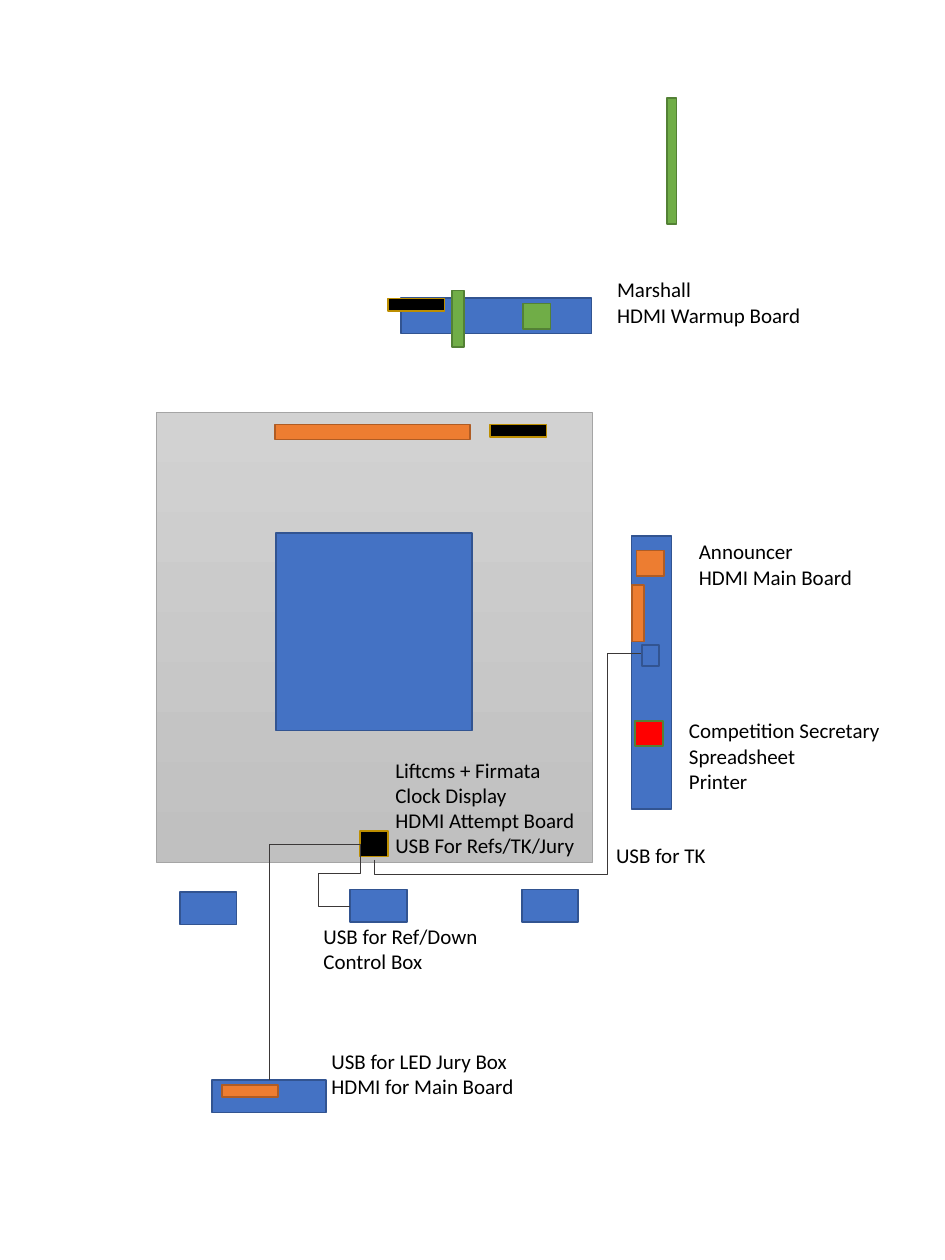
"""Build the floor plan of a lifting meet with its screens and cables."""
from lxml import etree
from pptx import Presentation
from pptx.dml.color import RGBColor
from pptx.enum.shapes import MSO_CONNECTOR, MSO_SHAPE
from pptx.enum.text import MSO_AUTO_SIZE
from pptx.oxml.ns import qn
from pptx.util import Cm, Pt

RECT = MSO_SHAPE.RECTANGLE
ELBOW = MSO_CONNECTOR.ELBOW
FIT = MSO_AUTO_SIZE.SHAPE_TO_FIT_TEXT

INK = RGBColor(0x00, 0x00, 0x00)
WIRE = RGBColor(0x3B, 0x38, 0x38)
PALE = RGBColor(0xD2, 0xD2, 0xD2)
GREY = RGBColor(0xC0, 0xC0, 0xC0)
EDGE = RGBColor(0xA5, 0xA5, 0xA5)
LEAF = RGBColor(0x53, 0x81, 0x35)
BLUE = (RGBColor(0x44, 0x72, 0xC4), RGBColor(0x32, 0x54, 0x91))
ORANGE = (RGBColor(0xED, 0x7D, 0x31), RGBColor(0xAF, 0x5C, 0x24))
GREEN = (RGBColor(0x70, 0xAD, 0x47), LEAF)
BLACK = (INK, RGBColor(0xBD, 0x8E, 0x00))
RED = (RGBColor(0xFF, 0x00, 0x00), LEAF)

SEAT = (1.14, 0.66)
LAPTOP = (0.56, 0.51)
SCREEN = (1.14, 0.25)


class Plan:
    """Hold the style and the current slide."""

    font = {"name": "Calibri", "size": Pt(12)}
    frame = {"word_wrap": False, "auto_size": FIT}

    def __init__(self, slide):
        self.shapes = slide.shapes

    def box(self, x, y, size, tone, turn=0):
        """Add a filled rectangle."""
        shape = self.shapes.add_shape(RECT, Cm(x), Cm(y), *map(Cm, size))
        shape.rotation = turn
        shape.shadow.inherit = False
        shape.fill.solid()
        shape.fill.fore_color.rgb, shape.line.color.rgb = tone
        shape.line.width = Pt(1)
        return shape

    def stage(self, x, y, size):
        """Add the shaded stage."""
        shape = self.box(x, y, size, (GREY, EDGE))
        shape.line.width = Pt(0.5)
        shape.fill.gradient()
        shape.fill.gradient_angle = 270
        for stop, tone in zip(shape.fill.gradient_stops, (PALE, GREY)):
            stop.color.rgb = tone

    def wire(self, kind, start, end, turn=0, bends=()):
        """Add a bent cable."""
        line = self.shapes.add_connector(ELBOW, *map(Cm, start + end))
        line.line.color.rgb = WIRE
        line.line.width = Pt(0.5)
        props = line._element.spPr
        etree.SubElement(props, qn("a:effectLst"))
        if turn:
            props.find(qn("a:xfrm")).set("rot", str(turn * 60000))
        geom = props.find(qn("a:prstGeom"))
        geom.set("prst", kind)
        for i, bend in enumerate(bends, 1):
            guide = etree.SubElement(geom.find(qn("a:avLst")), qn("a:gd"))
            guide.set("name", f"adj{i}")
            guide.set("fmla", f"val {round(bend * 100000)}")
        return line

    def label(self, x, y, wide, text):
        """Add a text label, sized by its lines."""
        high = 0.25 + 0.51 * (text.count("\n") + 1)
        frame = self.shapes.add_textbox(Cm(x), Cm(y), Cm(wide), Cm(high)).text_frame
        for key, value in self.frame.items():
            setattr(frame, key, value)
        para = frame.paragraphs[0]
        para.text = text
        for run in para.runs:
            for key, value in self.font.items():
                setattr(run.font, key, value)
            run.font.color.rgb = INK


def main():
    """Draw the plan and save it."""
    deck = Presentation()
    deck.slide_width, deck.slide_height = Cm(19.05), Cm(25.4)
    plan = Plan(deck.slides.add_slide(deck.slide_layouts[6]))

    plan.stage(3.15, 8.31, (8.79, 9.07))
    plan.box(5.56, 10.74, (3.96, 3.99), BLUE)
    for x, y in ((7.06, 17.93), (10.52, 17.93), (3.63, 17.98)):
        plan.box(x, y, SEAT, BLUE)
    jury = plan.box(4.27, 21.77, (2.31, 0.66), BLUE)
    plan.box(12.73, 10.8, (0.81, 5.51), BLUE)
    plan.wire("bentConnector4", (12.5, 18.12), (8.33, 12.38), 90, (-0.07, 0.82))
    plan.box(12.95, 13, (0.33, 0.43), BLUE)
    plan.box(9.65, 4.45, (0.71, 3.84), BLUE, 90)

    plan.box(12.83, 11.1, LAPTOP, ORANGE)
    host = plan.box(7.26, 16.76, LAPTOP, BLACK)
    plan.box(10.54, 6.12, LAPTOP, GREEN)
    plan.box(12.8, 14.53, LAPTOP, RED)

    for x, y, tone, turn in (
        (7.82, 6.02, BLACK, 0),
        (8.66, 6.3, GREEN, 90),
        (4.47, 21.87, ORANGE, 0),
        (9.88, 8.56, BLACK, 0),
        (12.29, 12.24, ORANGE, 90),
    ):
        plan.box(x, y, SCREEN, tone, turn)
    plan.box(5.54, 8.56, (3.94, 0.3), ORANGE)
    plan.box(12.27, 3.15, (2.54, 0.2), GREEN, 90)

    plan.wire("bentConnector4", (6.53, 17.54), (7.8, 17.74), 90, (0.48, 4.27))
    cable = plan.wire("bentConnector2", (7.26, 17.02), (5.42, 21.77))
    cable.begin_connect(host, 1)
    cable.end_connect(jury, 0)

    for x, y, wide, text in (
        (12.19, 5.46, 4.24, "Marshall\nHDMI Warmup Board"),
        (13.84, 10.74, 3.63, "Announcer\nHDMI Main Board"),
        (7.72, 15.14, 4.17,
         "Liftcms + Firmata\nClock Display\nHDMI Attempt Board\nUSB For Refs/TK/Jury"),
        (6.43, 21.01, 4.22, "USB for LED Jury Box\nHDMI for Main Board"),
        (12.17, 16.87, 2.34, "USB for TK"),
        (6.27, 18.49, 3.66, "USB for Ref/Down\nControl Box"),
        (13.64, 14.35, 4.39, "Competition Secretary\nSpreadsheet\nPrinter"),
    ):
        plan.label(x, y, wide, text)
    deck.save("out.pptx")


if __name__ == "__main__":
    main()
